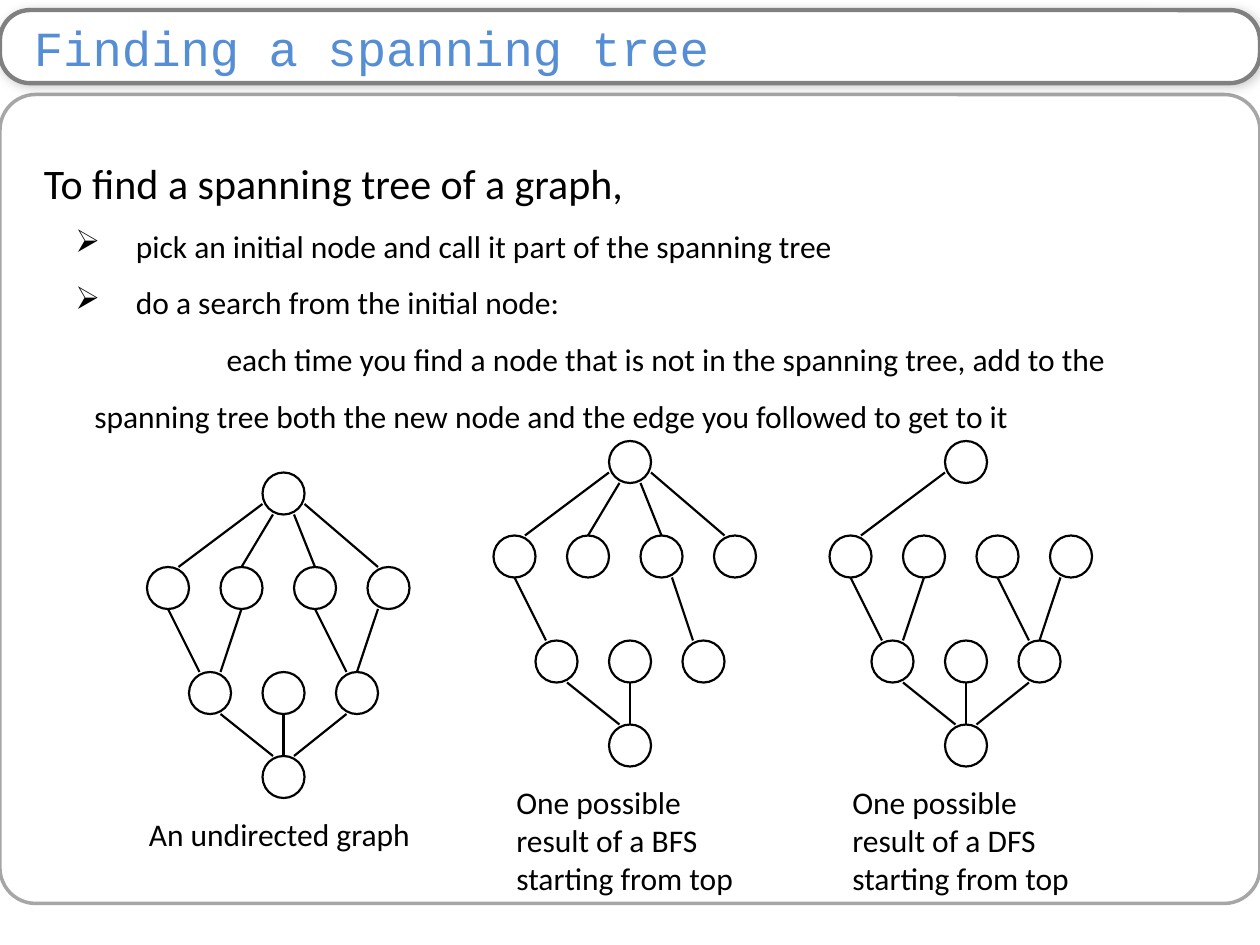
from dataclasses import dataclass

from lxml import etree
from pptx import Presentation, util as u
from pptx.dml.color import RGBColor
from pptx.enum import shapes as sh, text as tx
from pptx.oxml.ns import qn

UNIT = 2.54 / 12  # grid step of the graphs, in cm
NODE = 4  # node diameter, in grid steps


@dataclass
class Para:
    text: str
    size: float = 18
    left: float = 0
    first: float = 0
    right: float = 0
    bullet: str = ""


@dataclass
class Graph:
    x: int
    y: int
    edges: list[str]
    label: str
    dx: int
    width: int
    height: float


def paint(target, color: str) -> None:
    target.rgb = RGBColor.from_string(color)


def inch(value: float) -> u.Length:
    return u.Cm(value * 2.54)


def grid(value: float) -> u.Length:
    return u.Cm(value * UNIT)


def write(frame, *paras: Para, font="Calibri", color="000000", spacing=None) -> None:
    """Fill a text frame with left-aligned paragraphs."""
    frame.word_wrap = True
    for i, item in enumerate(paras):
        para = frame.add_paragraph() if i else frame.paragraphs[0]
        para.text = item.text
        para.alignment = tx.PP_ALIGN.LEFT
        para.line_spacing = spacing
        for run in para.runs:
            run.font.name = font
            run.font.size = u.Pt(item.size)
            paint(run.font.color, color)
        props = para._p.get_or_add_pPr()
        props.set("marL", str(inch(item.left)))
        props.set("marR", str(inch(item.right)))
        props.set("indent", str(inch(item.first)))
        if item.bullet:
            etree.SubElement(props, qn("a:buChar"), char=item.bullet)


def outline(line, color: str, width: float) -> None:
    paint_line = line.fill
    paint_line.solid()
    paint(paint_line.fore_color, color)
    line.width = u.Pt(width)


def shape(parent, kind, box: tuple, color="000000", width=1.25):
    item = parent.add_shape(kind, *box)
    item.shadow.inherit = False
    item.fill.background()
    outline(item.line, color, width)
    return item


def panel(parent, top: float, height: float, curve: float, color: str, width: float):
    box = (0, inch(top), inch(10), inch(height))
    item = shape(parent, sh.MSO_SHAPE.ROUNDED_RECTANGLE, box, color, width)
    item.adjustments[0] = curve
    return item


def textbox(parent, box: tuple, *paras: Para, **style) -> None:
    frame = parent.add_textbox(*box).text_frame
    write(frame, *paras, **style)
    frame.auto_size = tx.MSO_AUTO_SIZE.SHAPE_TO_FIT_TEXT


def shade(item) -> None:
    """Give a shape a soft outer shadow."""
    effects = item._element.spPr.find(qn("a:effectLst"))
    outer = etree.SubElement(effects, qn("a:outerShdw"), blurRad=str(u.Pt(6)),
                             dist=str(u.Pt(1)), dir="2700000", rotWithShape="0")
    black = etree.SubElement(outer, qn("a:srgbClr"), val="000000")
    etree.SubElement(black, qn("a:alpha"), val="20000")


# Node corners and edge ends, in grid steps from each graph's corner
NODES = ([(11, 0)] + [(x, 9) for x in (0, 7, 14, 21)]
         + [(x, 19) for x in (4, 11, 18)] + [(11, 27)])
EDGES = {
    "top-a": (11, 3, 3, 9),
    "top-b": (12, 4, 9, 9),
    "top-c": (14, 4, 16, 9),
    "top-d": (15, 3, 22, 9),
    "a-e": (2, 13, 5, 19),
    "b-e": (9, 13, 7, 19),
    "c-g": (16, 13, 19, 19),
    "c-g steep": (17, 13, 19, 19),
    "d-g": (22, 13, 20, 19),
    "e-end": (7, 23, 12, 27),
    "f-end": (13, 23, 13, 27),
    "g-end": (19, 23, 14, 27),
}
FAN = ["top-a", "top-b", "top-c", "top-d"]
LOW = ["a-e", "b-e", "c-g", "d-g", "e-end", "f-end", "g-end"]
GRAPHS = [
    Graph(14, 45, FAN + LOW, "An undirected graph", -1, 30, 4.8),
    Graph(47, 42, FAN + ["a-e", "c-g steep", "e-end", "f-end"],
          "One possible result of a BFS\nstarting from top", 1, 24, 12),
    Graph(79, 42, ["top-a"] + LOW,
          "One possible result of a DFS\nstarting from top", 1, 24, 12),
]


def draw(slide, graph: Graph) -> None:
    group = slide.shapes.add_group_shape().shapes
    for x, y in NODES:
        box = (grid(graph.x + x), grid(graph.y + y), grid(NODE), grid(NODE))
        shape(group, sh.MSO_SHAPE.OVAL, box)
    for name in graph.edges:
        x1, y1, x2, y2 = EDGES[name]
        edge = group.add_connector(
            sh.MSO_CONNECTOR.STRAIGHT, grid(graph.x + x1), grid(graph.y + y1),
            grid(graph.x + x2), grid(graph.y + y2))
        outline(edge.line, "000000", 1.25)
        etree.SubElement(edge._element.spPr, qn("a:effectLst"))
    box = (grid(graph.x + graph.dx), grid(graph.y + 32),
           grid(graph.width), grid(graph.height))
    textbox(group, box, Para(graph.label))


def main() -> None:
    deck = Presentation()
    deck.slide_width, deck.slide_height = u.Cm(25.4), u.Cm(19.05)
    slide = deck.slides.add_slide(deck.slide_layouts[6])

    # Frame and title bar
    panel(slide.shapes, 0.75, 6.42, 0.044, "A6A6A6", 2)
    title = panel(slide.shapes, 0.08, 0.58, 0.41, "808080", 2.5)
    title.fill.solid()
    paint(title.fill.fore_color, "FFFFFF")
    shade(title)
    frame = title.text_frame
    frame.margin_left, frame.margin_right = inch(0.2), inch(0.1)
    frame.margin_top = frame.margin_bottom = 0
    frame.vertical_anchor = tx.MSO_ANCHOR.MIDDLE
    write(frame, Para("Finding a spanning tree", 28),
          font="Courier New", color="558ED5")

    # Steps
    step = {"left": 0.73, "first": -0.48, "bullet": "➢"}
    textbox(
        slide.shapes, (inch(0.25), inch(1), inch(9.33), inch(2.93)),
        Para("To find a spanning tree of a graph,", 24),
        Para("pick an initial node and call it part of the spanning tree", **step),
        Para("do a search from the initial node:", **step),
        Para("each time you find a node that is not in the spanning tree, add to the "
             "spanning tree both the new node and the edge you followed to get to it",
             left=0.4, first=1.05, right=0.3),
        spacing=1.5)

    # Graph and its two spanning trees
    for graph in GRAPHS:
        draw(slide, graph)
    deck.save("out.pptx")


if __name__ == "__main__":
    main()
